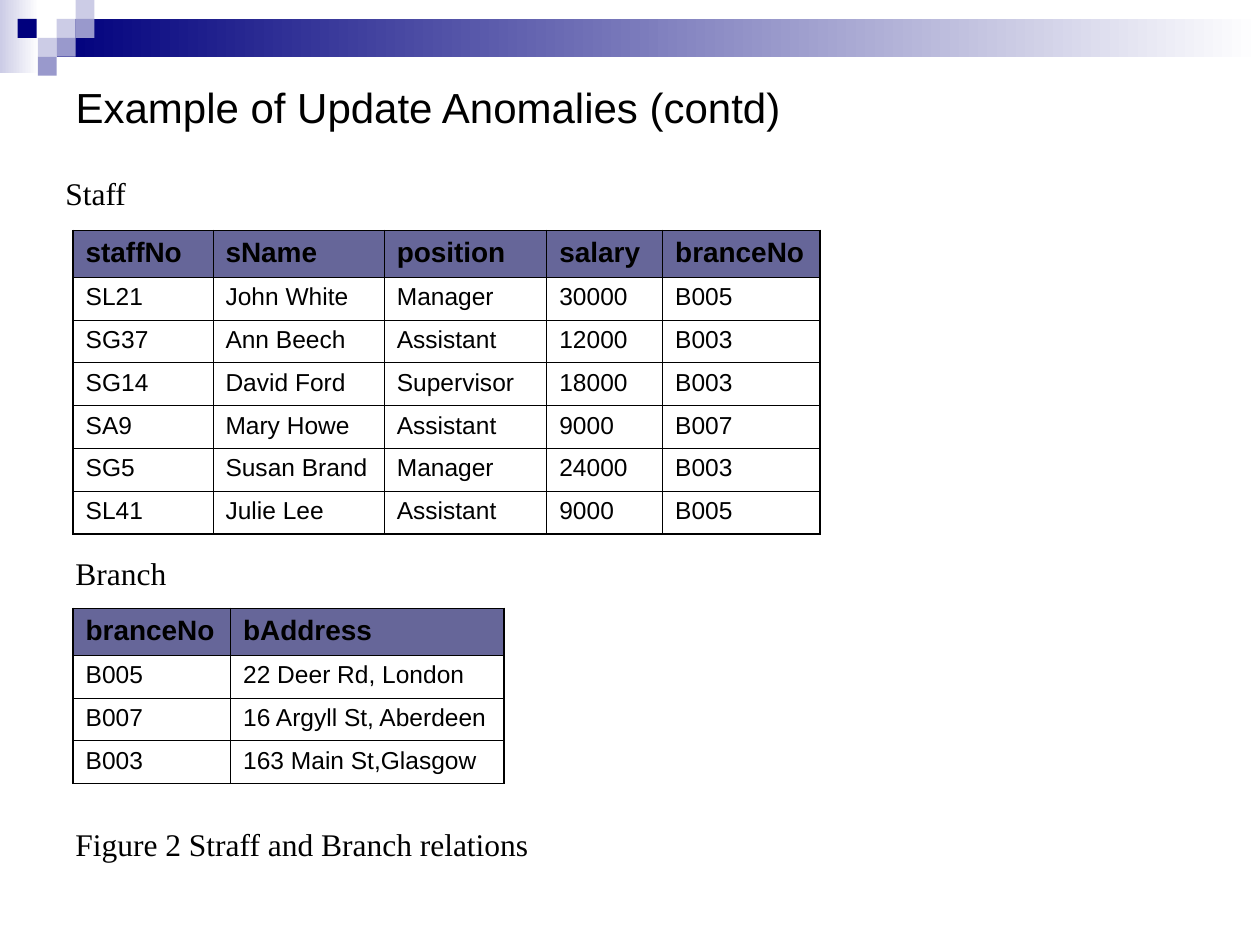
"""Build the slide with the Staff and Branch relations."""
from pptx import Presentation
from pptx.dml.color import RGBColor
from pptx.enum.shapes import MSO_SHAPE
from pptx.enum.text import MSO_ANCHOR, MSO_AUTO_SIZE, PP_ALIGN
from pptx.oxml.ns import qn
from pptx.util import Inches, Pt
from lxml.etree import SubElement

BLACK = RGBColor(0x00, 0x00, 0x00)
WHITE = RGBColor(0xFF, 0xFF, 0xFF)
NAVY = RGBColor(0x00, 0x00, 0x7D)
LAVENDER = RGBColor(0xCC, 0xCC, 0xE6)
PERIWINKLE = RGBColor(0x99, 0x99, 0xCC)
SLATE = RGBColor(0x66, 0x66, 0x99)

STAFF = [
    ("staffNo", "sName", "position", "salary", "branceNo"),
    ("SL21", "John White", "Manager", "30000", "B005"),
    ("SG37", "Ann Beech", "Assistant", "12000", "B003"),
    ("SG14", "David Ford", "Supervisor", "18000", "B003"),
    ("SA9", "Mary Howe", "Assistant", "9000", "B007"),
    ("SG5", "Susan Brand", "Manager", "24000", "B003"),
    ("SL41", "Julie Lee", "Assistant", "9000", "B005"),
]
BRANCH = [
    ("branceNo", "bAddress"),
    ("B005", "22 Deer Rd, London"),
    ("B007", "16 Argyll St, Aberdeen"),
    ("B003", "163 Main St,Glasgow"),
]


def add_block(left, top, width, height):
    block = page.shapes.add_shape(
        MSO_SHAPE.RECTANGLE, Inches(left), Inches(top), Inches(width), Inches(height))
    block.shadow.inherit = False
    block.line.fill.background()
    return block


def format_text(paragraph, font_name, size, bold=False):
    paragraph.alignment = PP_ALIGN.LEFT
    for span in paragraph.runs:
        span.font.name = font_name
        span.font.size = Pt(size)
        span.font.bold = bold
        span.font.color.rgb = BLACK


deck = Presentation()
deck.slide_width = Inches(10)
deck.slide_height = Inches(7.5)
page = deck.slides.add_slide(deck.slide_layouts[5])

for left, top, width, height, color in [
    (0, 0, 0.31, 0.58, LAVENDER),
    (0.45, 0.15, 9.55, 0.3, NAVY),
]:
    band = add_block(left, top, width, height)
    band.fill.gradient()
    band.fill.gradient_angle = 0
    for stop, stop_color, position in zip(band.fill.gradient_stops, (color, WHITE), (0, 1)):
        stop.color.rgb = stop_color
        stop.position = position

for left, top, color in [
    (0.45, 0.15, LAVENDER),
    (0.6, 0, LAVENDER),
    (0.6, 0.15, PERIWINKLE),
    (0.3, 0.3, LAVENDER),
    (0.14, 0.15, NAVY),
    (0.45, 0.3, PERIWINKLE),
    (0.3, 0.45, PERIWINKLE),
]:
    square = add_block(left, top, 0.15, 0.15)
    square.fill.solid()
    square.fill.fore_color.rgb = color

title = page.shapes.title
title.left, title.top, title.width, title.height = (
    Inches(0.5), Inches(0.6), Inches(9), Inches(0.5))
title.text_frame.text = "Example of Update Anomalies (contd)"
title.text_frame.vertical_anchor = MSO_ANCHOR.MIDDLE
title.text_frame.auto_size = MSO_AUTO_SIZE.NONE
format_text(title.text_frame.paragraphs[0], "Arial", 24)

for records, top, widths in [
    (STAFF, 1.83, (1.11, 1.36, 1.29, 0.92, 1.25)),
    (BRANCH, 4.83, (1.25, 2.17)),
]:
    heights = [0.37] + [0.34] * (len(records) - 1)
    table = page.shapes.add_table(
        len(records), len(widths), Inches(0.58), Inches(top),
        Inches(sum(widths)), Inches(sum(heights))).table
    table.first_row = False
    table.horz_banding = False
    for column, width in zip(table.columns, widths):
        column.width = Inches(width)
    for row, height in zip(table.rows, heights):
        row.height = Inches(height)
    for row_index, record in enumerate(records):
        header = row_index == 0
        for column_index, value in enumerate(record):
            cell = table.cell(row_index, column_index)
            cell.text_frame.text = value
            format_text(cell.text_frame.paragraphs[0], "Arial", 16 if header else 14, header)
            properties = cell._tc.get_or_add_tcPr()
            for side, outer in [
                ("L", column_index == 0),
                ("R", column_index == len(widths) - 1),
                ("T", header),
                ("B", row_index == len(records) - 1),
            ]:
                border = SubElement(
                    properties, qn(f"a:ln{side}"), w=str(Pt(1.08 if outer else 0.45)))
                paint = SubElement(border, qn("a:solidFill"))
                SubElement(paint, qn("a:srgbClr"), val=str(BLACK))
            if header:
                cell.fill.solid()
                cell.fill.fore_color.rgb = SLATE
            else:
                cell.fill.background()

for caption, left, top, width in [
    ("Figure 2 Straff and Branch relations", 0.5, 6.5, 4.67),
    ("Staff", 0.42, 1.33, 0.69),
    ("Branch", 0.5, 4.35, 1.08),
]:
    box = page.shapes.add_textbox(Inches(left), Inches(top), Inches(width), Inches(0.4))
    box.text_frame.word_wrap = True
    box.text_frame.auto_size = MSO_AUTO_SIZE.SHAPE_TO_FIT_TEXT
    box.text_frame.text = caption
    format_text(box.text_frame.paragraphs[0], "Times New Roman", 18)

deck.save("out.pptx")
